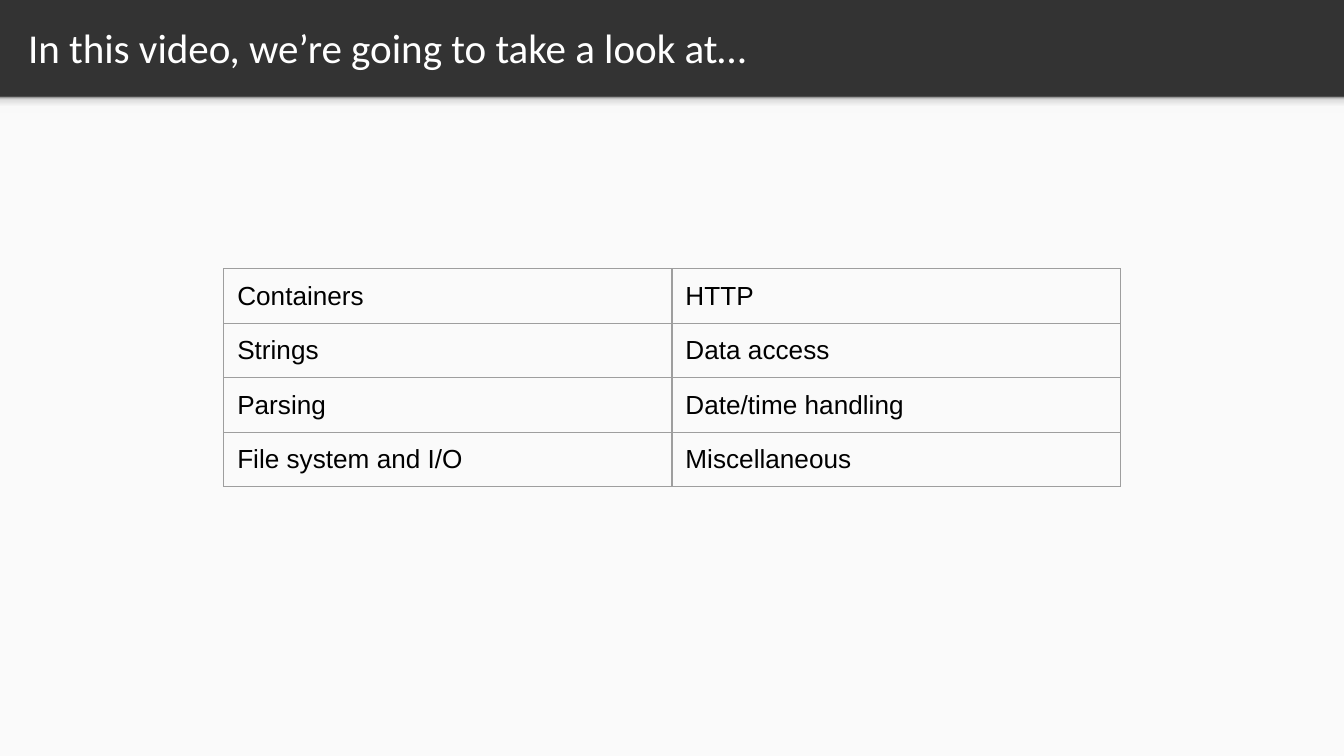
from lxml import etree
from pptx import Presentation
from pptx.dml.color import RGBColor
from pptx.enum.shapes import MSO_SHAPE
from pptx.enum.text import MSO_ANCHOR, MSO_AUTO_SIZE, PP_ALIGN
from pptx.oxml import parse_xml
from pptx.oxml.ns import nsdecls, qn
from pptx.util import Cm, Pt

RECTANGLE = MSO_SHAPE.RECTANGLE
MIDDLE = MSO_ANCHOR.MIDDLE
NO_AUTOFIT = MSO_AUTO_SIZE.NONE
LEFT = PP_ALIGN.LEFT

HEADING = "In this video, we’re going to take a look at…"
TOPICS = [
    ("Containers", "HTTP"),
    ("Strings", "Data access"),
    ("Parsing", "Date/time handling"),
    ("File system and I/O", "Miscellaneous"),
]

HEADER_GREY = RGBColor(0x33, 0x33, 0x33)
BODY_GREY = RGBColor(0xFA, 0xFA, 0xFA)
BORDER_GREY = RGBColor(0x9E, 0x9E, 0x9E)
WHITE = RGBColor(0xFF, 0xFF, 0xFF)
BLACK = RGBColor(0, 0, 0)
SHADE_STOPS = [
    (0, RGBColor(0xF9, 0xF9, 0xF9)),
    (36, RGBColor(0xF9, 0xF9, 0xF9)),
    (80, RGBColor(0xDE, 0xDE, 0xDE)),
    (100, RGBColor(0x99, 0x99, 0x99)),
]

SLIDE_WIDTH, SLIDE_HEIGHT = Cm(25.4), Cm(14.29)
HEADER_HEIGHT = Cm(1.83)
SHADE_HEIGHT = Cm(0.3)
COLUMN_WIDTH, ROW_HEIGHT = Cm(8.47), Cm(1.03)
TABLE_TOP = Cm(5.08)
BORDER_WIDTH = Pt(0.75)

HEADING_FONT = {"name": "Calibri", "size": Pt(22)}
TOPIC_FONT = {"name": "Arial", "size": Pt(14)}
HEADING_PLACE = {"left": Cm(0.28), "top": Cm(0.05), "width": Cm(24.51), "height": Cm(1.68)}
HEADING_FRAME = {
    "vertical_anchor": MIDDLE, "auto_size": NO_AUTOFIT, "word_wrap": True,
    "margin_left": Cm(0.25), "margin_right": Cm(0.25),
    "margin_top": Cm(0.25), "margin_bottom": Cm(0.25),
}


def assign(target, values):
    for name, value in values.items():
        setattr(target, name, value)


def write(paragraph, text, font, color):
    run = paragraph.add_run()
    run.text = text
    assign(run.font, font)
    run.font.color.rgb = color


def add_band(slide, top, height):
    band = slide.shapes.add_shape(RECTANGLE, 0, top, SLIDE_WIDTH, height)
    band.shadow.inherit = False
    band.line.fill.background()
    return band


def shade(band):
    band.fill.gradient()
    band.fill.gradient_angle = 90
    stops = band.fill._fill._gradFill.find(qn("a:gsLst"))
    for stop in list(stops):
        stops.remove(stop)
    for percent, color in SHADE_STOPS:
        stop = etree.SubElement(stops, qn("a:gs"), pos=str(percent * 1000))
        etree.SubElement(stop, qn("a:srgbClr"), val=str(color))


def add_borders(cell):
    properties = cell._tc.get_or_add_tcPr()
    for side in ("lnL", "lnR", "lnT", "lnB"):
        properties.append(parse_xml(
            f'<a:{side} {nsdecls("a")} w="{BORDER_WIDTH}"><a:solidFill>'
            f'<a:srgbClr val="{BORDER_GREY}"/></a:solidFill></a:{side}>'
        ))


def add_topics(slide):
    columns = len(TOPICS[0])
    width = COLUMN_WIDTH * columns
    table = slide.shapes.add_table(
        len(TOPICS), columns, (SLIDE_WIDTH - width) // 2, TABLE_TOP,
        width, ROW_HEIGHT * len(TOPICS),
    ).table
    assign(table, {"first_row": False, "horz_banding": False})
    for r, row in enumerate(TOPICS):
        for c, topic in enumerate(row):
            cell = table.cell(r, c)
            add_borders(cell)
            cell.fill.background()
            cell.vertical_anchor = MIDDLE
            write(cell.text_frame.paragraphs[0], topic, TOPIC_FONT, BLACK)


def main():
    deck = Presentation()
    assign(deck, {"slide_width": SLIDE_WIDTH, "slide_height": SLIDE_HEIGHT})
    slide = deck.slides.add_slide(deck.slide_layouts[5])
    slide.background.fill.solid()
    slide.background.fill.fore_color.rgb = HEADER_GREY

    body = add_band(slide, HEADER_HEIGHT, SLIDE_HEIGHT - HEADER_HEIGHT)
    body.fill.solid()
    body.fill.fore_color.rgb = BODY_GREY
    shade(add_band(slide, HEADER_HEIGHT, SHADE_HEIGHT))

    heading = slide.shapes.title
    assign(heading, HEADING_PLACE)
    assign(heading.text_frame, HEADING_FRAME)
    paragraph = heading.text_frame.paragraphs[0]
    paragraph.alignment = LEFT
    write(paragraph, HEADING, HEADING_FONT, WHITE)

    add_topics(slide)
    deck.save("out.pptx")


if __name__ == "__main__":
    main()
